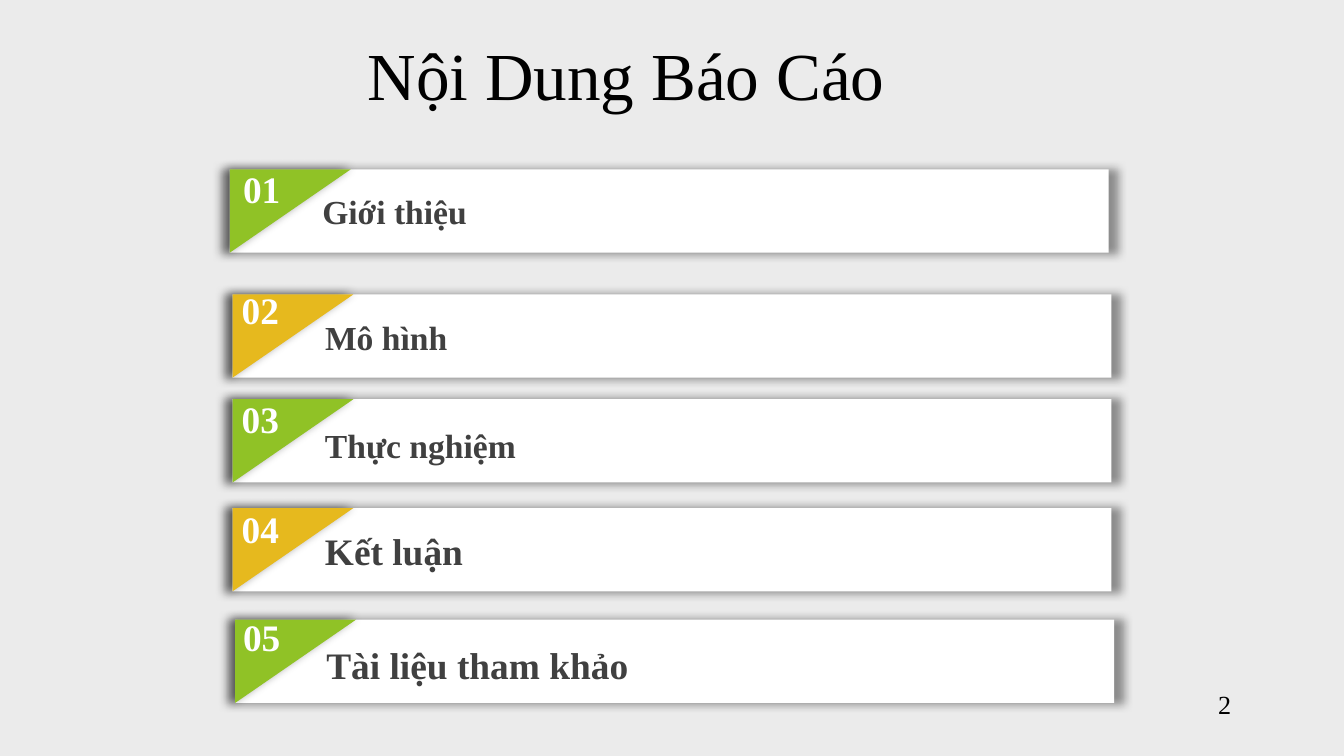
from dataclasses import dataclass

from lxml import etree
from pptx import Presentation
from pptx import util as u
from pptx.dml.color import RGBColor
from pptx.enum import shapes, text
from pptx.oxml import ns


@dataclass(frozen=True)
class Theme:
    font: str = "Times New Roman"
    background: str = "EBEBEB"
    card: str = "FFFFFF"
    green: str = "90C226"
    gold: str = "E6B91E"
    ink: str = "000000"
    label: str = "404040"
    title_size: int = 36
    number_size: int = 20
    page_size: int = 14


@dataclass(frozen=True)
class Section:
    number: str
    label: str
    left: float
    top: float
    number_left: float
    number_top: float
    label_left: float
    label_top: float
    label_width: float
    label_size: int


THEME = Theme()
SLIDE_WIDTH = 10
SLIDE_HEIGHT = SLIDE_WIDTH * 9 / 16
CARD_WIDTH, CARD_HEIGHT, CORNER_WIDTH = 6.54, 0.62, 0.9
SECTIONS = [
    Section("01", "Giới thiệu", 1.71, 1.26, 1.71, 1.19, 2.3, 1.37, 5.8, 18),
    Section("02", "Mô hình", 1.73, 2.19, 1.7, 2.09, 2.32, 2.31, 5.91, 18),
    Section("03", "Thực nghiệm", 1.73, 2.97, 1.7, 2.9, 2.32, 3.11, 4.8, 18),
    Section("04", "Kết luận", 1.73, 3.78, 1.7, 3.72, 2.32, 3.88, 4.8, 20),
    Section("05", "Tài liệu tham khảo", 1.75, 4.61, 1.71, 4.52, 2.33, 4.73, 4.8, 20),
]


def style(paragraph, size: int, color: str, bold: bool = False) -> None:
    paragraph.font.name = THEME.font
    paragraph.font.size = u.Pt(size)
    paragraph.font.bold = bold
    paragraph.font.color.rgb = RGBColor.from_string(color)


def add_text(parent, words: str, left: float, top: float, width: float,
             height: float, size: int, color: str, bold: bool = False):
    box = parent.add_textbox(u.Inches(left), u.Inches(top), u.Inches(width), u.Inches(height))
    box.text_frame.word_wrap = True
    box.text_frame.text = words
    style(box.text_frame.paragraphs[0], size, color, bold)
    return box


def add_block(parent, kind, left: float, top: float, width: float,
              height: float, color: str):
    block = parent.add_shape(kind, u.Inches(left), u.Inches(top),
                             u.Inches(width), u.Inches(height))
    block.fill.solid()
    block.fill.fore_color.rgb = RGBColor.from_string(color)
    block.line.fill.background()
    block.shadow.inherit = False
    effects = block._element.spPr.find(ns.qn("a:effectLst"))
    shadow = etree.SubElement(effects, ns.qn("a:outerShdw"), blurRad=str(u.Pt(5)),
                              sx="102000", sy="102000", algn="ctr", rotWithShape="0")
    shade = etree.SubElement(shadow, ns.qn("a:srgbClr"), val=THEME.ink)
    etree.SubElement(shade, ns.qn("a:alpha"), val="40000")
    return block


def add_section(slide, section: Section, accent: str) -> None:
    row = slide.shapes.add_group_shape().shapes
    add_block(row, shapes.MSO_SHAPE.RECTANGLE, section.left, section.top,
              CARD_WIDTH, CARD_HEIGHT, THEME.card)
    shift = (CORNER_WIDTH - CARD_HEIGHT) / 2
    corner = add_block(row, shapes.MSO_SHAPE.RIGHT_TRIANGLE, section.left + shift,
                       section.top - shift, CARD_HEIGHT, CORNER_WIDTH, accent)
    corner.rotation = 90
    number = add_text(row, section.number, section.number_left, section.number_top,
                      0.58, 0.44, THEME.number_size, THEME.card, True)
    label = add_text(row, section.label, section.label_left, section.label_top,
                     section.label_width, 0.4 if section.label_size == 18 else 0.44,
                     section.label_size, THEME.label, True)
    for box in (number, label):
        box.text_frame.auto_size = text.MSO_AUTO_SIZE.SHAPE_TO_FIT_TEXT


def main() -> None:
    deck = Presentation()
    deck.slide_width, deck.slide_height = u.Inches(SLIDE_WIDTH), u.Inches(SLIDE_HEIGHT)
    slide = deck.slides.add_slide(deck.slide_layouts[5])
    slide.background.fill.solid()
    slide.background.fill.fore_color.rgb = RGBColor.from_string(THEME.background)

    title = slide.shapes.title
    title.left, title.top = u.Inches(1.06), u.Inches(0.23)
    title.width, title.height = u.Inches(7.2), u.Inches(0.63)
    title.text_frame.text = "Nội Dung Báo Cáo"
    title.text_frame.vertical_anchor = text.MSO_ANCHOR.MIDDLE
    heading = title.text_frame.paragraphs[0]
    heading.alignment = text.PP_ALIGN.CENTER
    style(heading, THEME.title_size, THEME.ink)

    for index, section in enumerate(SECTIONS):
        add_section(slide, section, THEME.gold if index % 2 else THEME.green)

    page = add_text(slide.shapes, "2", 8.39, 5.09, 0.87, 0.3, THEME.page_size, THEME.ink)
    page.text_frame.vertical_anchor = text.MSO_ANCHOR.MIDDLE
    page.text_frame.paragraphs[0].alignment = text.PP_ALIGN.RIGHT

    deck.save("out.pptx")


if __name__ == "__main__":
    main()
